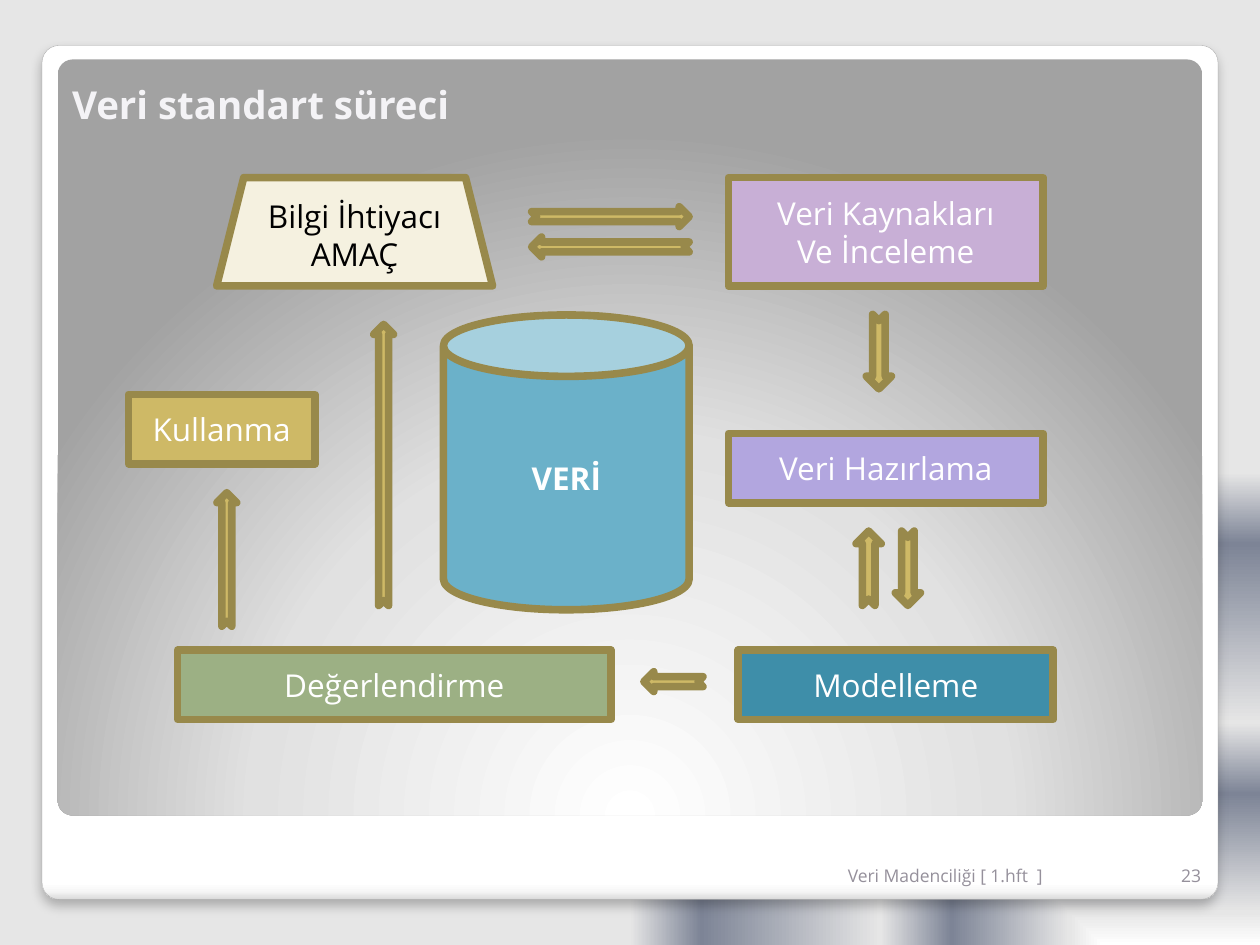
from dataclasses import dataclass
from enum import IntEnum

from lxml.etree import SubElement
from pptx import Presentation
from pptx.dml.color import RGBColor
from pptx.enum.shapes import MSO_SHAPE as Preset
from pptx.enum.text import MSO_ANCHOR as Anchor, PP_ALIGN as Align
from pptx.oxml import parse_xml
from pptx.oxml.ns import nsdecls, qn
from pptx.util import Pt

FONT = "Open Sans"
OUTLINE = "98894B"
GOLD = "CEB966"
MUTED = "95909B"
WHITE = "FFFFFF"
ARROW_THICKNESS = 11.3
WIDE_ARROW = 14.4


class Heading(IntEnum):
    """Clockwise rotation of an arrow that points right at zero."""
    RIGHT = 0
    DOWN = 90
    LEFT = 180
    UP = 270


@dataclass
class Step:
    text: str
    left: float
    top: float
    width: float
    height: float
    fill: str
    preset: Preset = Preset.RECTANGLE
    color: str = WHITE
    bold: bool = False


@dataclass
class Arrow:
    center_x: float
    center_y: float
    length: float
    heading: Heading
    thickness: float = ARROW_THICKNESS


STEPS = [
    Step("Bilgi İhtiyacı\vAMAÇ", 123.8, 101.5, 157.7, 61.9, "F5F1E0",
         Preset.TRAPEZOID, "000000"),
    Step("Veri Kaynakları\nVe İnceleme", 416.2, 101.5, 180, 61.9, "C8AFD6"),
    Step("Veri Hazırlama", 416.2, 247.7, 180, 39.6, "B2A6DF"),
    Step("Modelleme", 421.9, 371.5, 180, 39.6, "3E8EA9"),
    Step("Değerlendirme", 101.5, 371.5, 247.7, 39.6, "9CB084"),
    Step("Kullanma", 73.4, 225.4, 106.6, 39.6, GOLD),
    Step("VERİ", 253.4, 180, 140.4, 168.5, "6BB1C9", Preset.CAN, bold=True),
]

ARROWS = [
    Arrow(348.8, 123.8, 90, Heading.RIGHT),
    Arrow(348.8, 141.1, 90, Heading.LEFT),
    Arrow(502.2, 200.9, 42.5, Heading.DOWN, WIDE_ARROW),
    Arrow(518.8, 324.7, 42.5, Heading.DOWN, WIDE_ARROW),
    Arrow(496.4, 324.7, 42.5, Heading.UP, WIDE_ARROW),
    Arrow(384.8, 389.5, 33.8, Heading.LEFT),
    Arrow(219.2, 265.7, 160.6, Heading.UP),
    Arrow(129.6, 319.7, 76.3, Heading.UP),
]

BACKDROP_STOPS = [(0, WHITE), (7, "E6E6E6"), (32, "7D8496"), (47, "E6E6E6"),
                  (85, "7D8496"), (100, "E6E6E6")]
FRAME_STOPS = [(0, WHITE), (98, WHITE), (99, "F7F7F7"), (100, "DADADA")]
PANEL_STOPS = [(0, WHITE), (55, "E1E1E1"), (100, "A2A2A2")]

DOWNWARD = '<a:lin ang="5400000" scaled="0"/>'
FROM_CORNER = '<a:path path="rect"><a:fillToRect l="100000" t="100000"/></a:path>'
FROM_BELOW = ('<a:path path="circle"><a:fillToRect l="50000" t="175000" '
              'r="50000" b="-75000"/></a:path>')


def rgb(color: str) -> RGBColor:
    return RGBColor.from_string(color)


def set_gradient(properties, stops: list, direction: str) -> None:
    """Replace the solid fill in a properties element by a gradient."""
    marks = "".join(f'<a:gs pos="{percent * 1000}"><a:srgbClr val="{color}"/></a:gs>'
                    for percent, color in stops)
    gradient = parse_xml(f'<a:gradFill {nsdecls("a")} rotWithShape="1">'
                         f'<a:gsLst>{marks}</a:gsLst>{direction}</a:gradFill>')
    properties.replace(properties.find(qn("a:solidFill")), gradient)


def add_preset(page, preset: Preset, left: float, top: float, width: float,
               height: float, fill: str):
    shape = page.shapes.add_shape(preset, Pt(left), Pt(top), Pt(width), Pt(height))
    shape.shadow.inherit = False
    shape.fill.solid()
    shape.fill.fore_color.rgb = rgb(fill)
    return shape


def outline(shape) -> None:
    shape.line.color.rgb = rgb(OUTLINE)
    shape.line.width = Pt(4.33)
    SubElement(shape.line._get_or_add_ln(), qn("a:round"))


def write(frame, text: str, size: float, color: str, align: Align,
          anchor: Anchor, bold: bool = False) -> None:
    frame.word_wrap = True
    frame.vertical_anchor = anchor
    frame.text = text
    for para in frame.paragraphs:
        para.alignment = align
        para.font.name = FONT
        para.font.size = Pt(size)
        para.font.bold = bold
        para.font.color.rgb = rgb(color)


def add_card(page, left: float, top: float, width: float, height: float,
             stops: list, direction: str):
    card = add_preset(page, Preset.ROUNDED_RECTANGLE, left, top, width, height, WHITE)
    card.adjustments[0] = 0.02
    card.line.fill.background()
    set_gradient(card.element.spPr, stops, direction)
    return card


def add_backdrop(page) -> None:
    page.background.fill.solid()
    set_gradient(page.element.find(".//" + qn("p:bgPr")), BACKDROP_STOPS, FROM_CORNER)
    frame = add_card(page, 24, 26, 672, 488, FRAME_STOPS, DOWNWARD)
    frame.line.color.rgb = rgb("A4A4A4")
    frame.line.width = Pt(0.16)
    frame.element.spPr.find(qn("a:effectLst")).append(parse_xml(
        f'<a:outerShdw {nsdecls("a")} blurRad="{Pt(6)}" dist="{Pt(4)}" dir="5400000" '
        'rotWithShape="0"><a:srgbClr val="000000"><a:alpha val="25000"/>'
        '</a:srgbClr></a:outerShdw>'))
    add_card(page, 33, 34, 654, 432, PANEL_STOPS, FROM_BELOW)


def place_title(page, text: str) -> None:
    title = page.shapes.title
    title.left, title.top, title.width, title.height = Pt(34), Pt(34), Pt(644), Pt(42.5)
    write(title.text_frame, text, 22, "F4F3F6", Align.LEFT, Anchor.BOTTOM, bold=True)
    # Bring the title in front of the backdrop cards.
    title.element.getparent().append(title.element)


def add_footer(page, text: str, left: float, width: float, align: Align) -> None:
    box = page.shapes.add_textbox(Pt(left), Pt(481), Pt(width), Pt(28.8))
    write(box.text_frame, text, 10, MUTED, align, Anchor.BOTTOM)


def add_step(page, step: Step) -> None:
    shape = add_preset(page, step.preset, step.left, step.top, step.width,
                       step.height, step.fill)
    outline(shape)
    write(shape.text_frame, step.text, 18, step.color, Align.CENTER,
          Anchor.MIDDLE, step.bold)


def add_arrow(page, arrow: Arrow) -> None:
    shape = add_preset(page, Preset.NOTCHED_RIGHT_ARROW,
                       arrow.center_x - arrow.length / 2,
                       arrow.center_y - arrow.thickness / 2,
                       arrow.length, arrow.thickness, GOLD)
    shape.rotation = arrow.heading.value
    outline(shape)


def main() -> None:
    deck = Presentation()
    deck.slide_width, deck.slide_height = Pt(720), Pt(540)
    page = deck.slides.add_slide(deck.slide_layouts.get_by_name("Title Only"))
    add_backdrop(page)
    place_title(page, "Veri standart süreci")
    add_footer(page, "23", 657.4, 36, Align.RIGHT)
    add_footer(page, "Veri Madenciliği [ 1.hft  ]", 477.4, 180, Align.LEFT)
    for step in STEPS:
        add_step(page, step)
    for arrow in ARROWS:
        add_arrow(page, arrow)
    deck.save("out.pptx")


if __name__ == "__main__":
    main()
